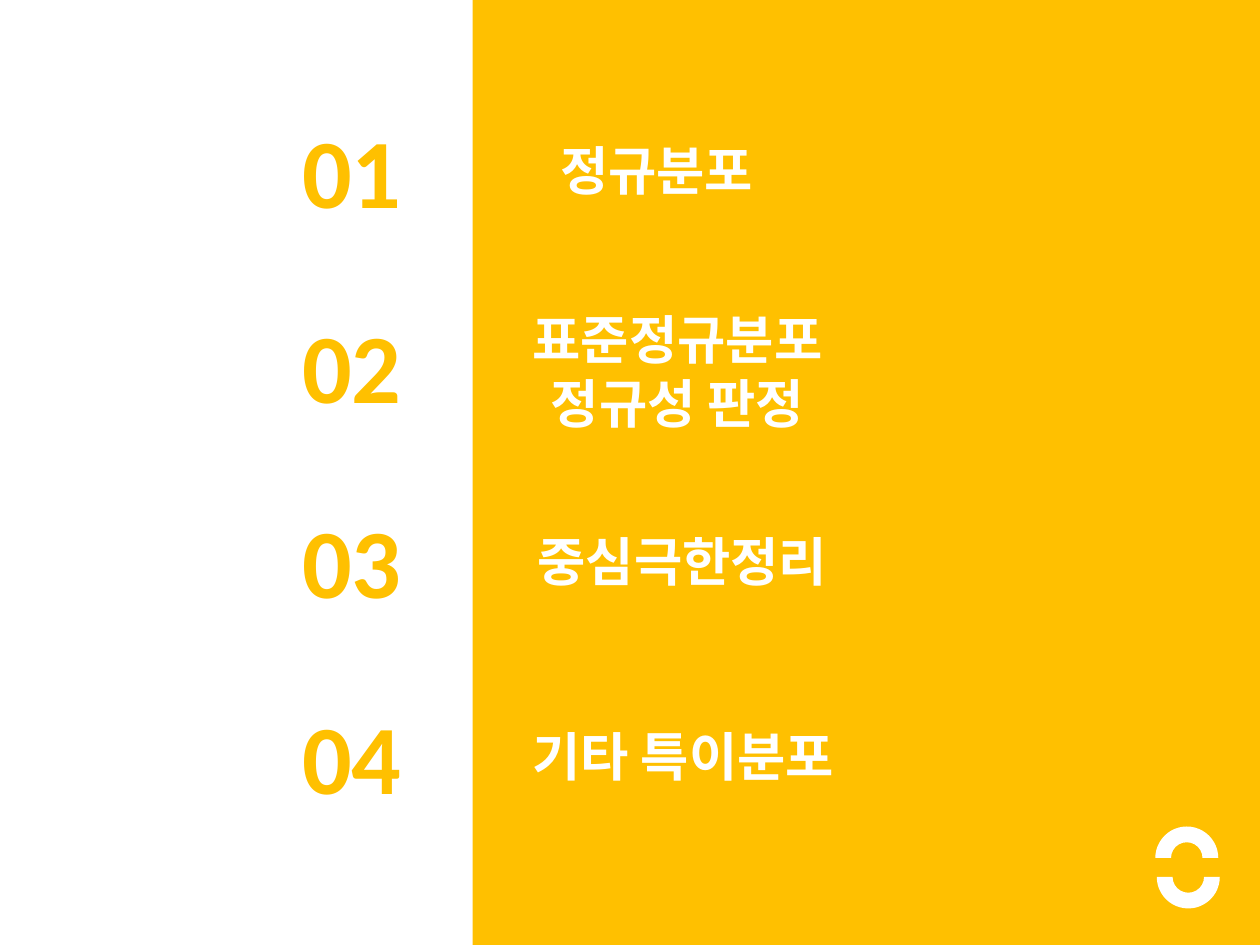
from pptx import Presentation
from pptx.dml.color import RGBColor
from pptx.enum.shapes import MSO_SHAPE
from pptx.enum.text import MSO_ANCHOR, PP_ALIGN
from pptx.oxml.ns import qn
from pptx.util import Pt
from lxml.etree import SubElement


def color(value):
    return RGBColor.from_string(value)


class AgendaPage:
    YELLOW = "FFC000"
    WHITE = "FFFFFF"
    NUMBER_FONT = "Calibri"
    TITLE_FONT = "Noto Sans CJK KR"

    def __init__(self, page):
        self.page = page

    def shape(self, kind, left, top, width, height, fill, rotation=0):
        shape = self.page.shapes.add_shape(
            kind, Pt(left), Pt(top), Pt(width), Pt(height))
        shape.shadow.inherit = False
        shape.fill.solid()
        shape.fill.fore_color.rgb = color(fill)
        shape.line.fill.background()
        shape.rotation = rotation
        return shape

    def text(self, words, left, middle, width, height, font, size, ink,
             align=PP_ALIGN.LEFT, spacing=None):
        box = self.page.shapes.add_textbox(
            Pt(left), Pt(middle - height / 2), Pt(width), Pt(height))
        frame = box.text_frame
        frame.word_wrap = True
        frame.vertical_anchor = MSO_ANCHOR.MIDDLE
        frame.text = words
        for para in frame.paragraphs:
            para.alignment = align
            para.line_spacing = spacing
            for span in para.runs:
                span.font.name = font
                span.font.size = Pt(size)
                span.font.bold = True
                span.font.color.rgb = color(ink)
                # East Asian typeface for the Korean letters
                SubElement(span.font._element, qn("a:ea")).set("typeface", font)

    def number(self, value, middle):
        self.text(f"{value:02d}", 165.6, middle, 104.4, 75,
                  self.NUMBER_FONT, 56, self.YELLOW)

    def title(self, words, left, middle, width):
        line_height = 36.6
        height = 7.2 + line_height * len(words.split("\n"))
        self.text(words, left, middle, width, height, self.TITLE_FONT, 30,
                  self.WHITE, PP_ALIGN.CENTER, Pt(line_height))


def main():
    deck = Presentation()
    deck.slide_width, deck.slide_height = Pt(720), Pt(540)
    agenda = AgendaPage(deck.slides.add_slide(deck.slide_layouts[6]))

    # Yellow panel
    agenda.shape(MSO_SHAPE.RECTANGLE, 270, 0, 450, 540, agenda.YELLOW)

    # Agenda rows: title, left, width, offset from the row's middle
    rows = [
        ("정규분포", 255, 240.5, 0),
        ("표준정규분포\n정규성 판정", 267, 240.5, 3),
        ("중심극한정리", 267, 246, 0),
        ("기타 특이분포", 275, 231, 0),
    ]
    first_middle, row_pitch = 96.6, 111.6
    for index, (words, left, width, offset) in enumerate(rows):
        middle = first_middle + index * row_pitch
        agenda.number(index + 1, middle)
        agenda.title(words, left, middle + offset, width)

    # Pair of arcs in the corner
    for left, top, rotation in [(660.2, 472.3, 0), (661, 483.1, 180)]:
        agenda.shape(MSO_SHAPE.BLOCK_ARC, left, top, 36, 36,
                     agenda.WHITE, rotation)

    deck.save("out.pptx")


if __name__ == "__main__":
    main()
